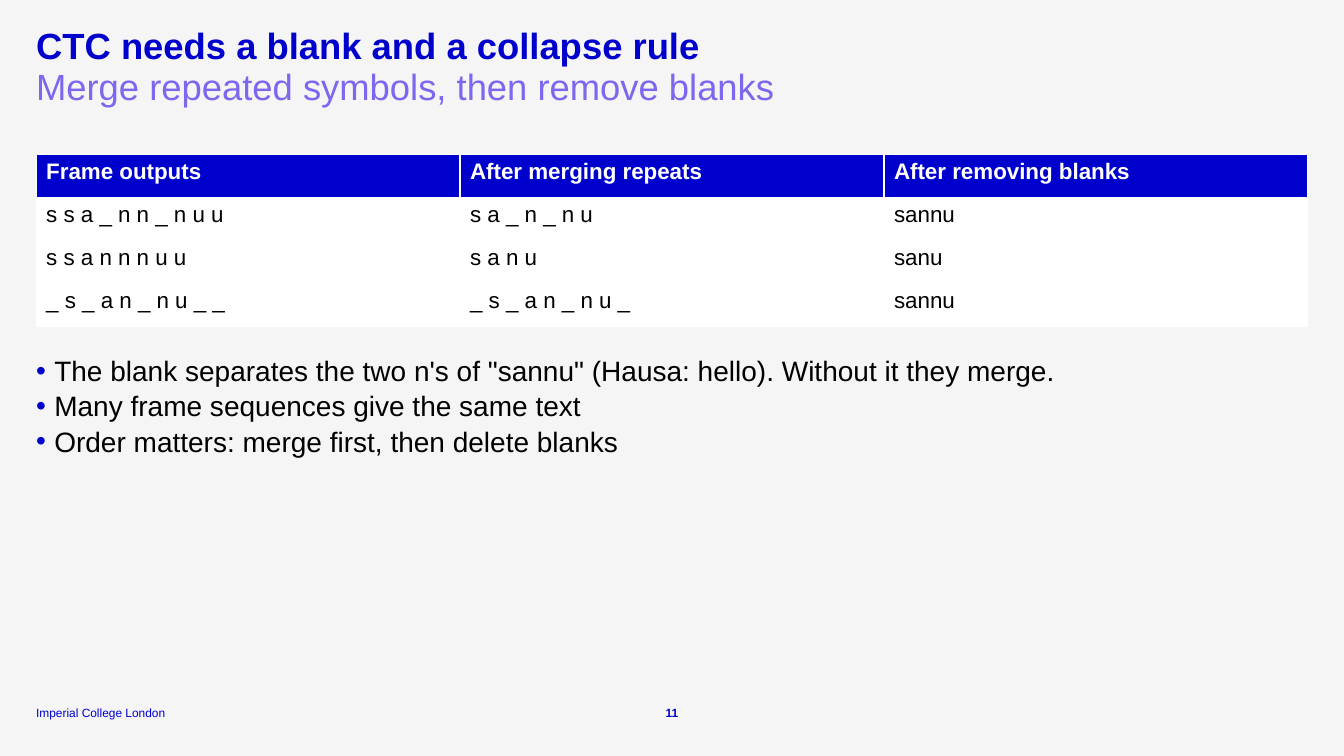
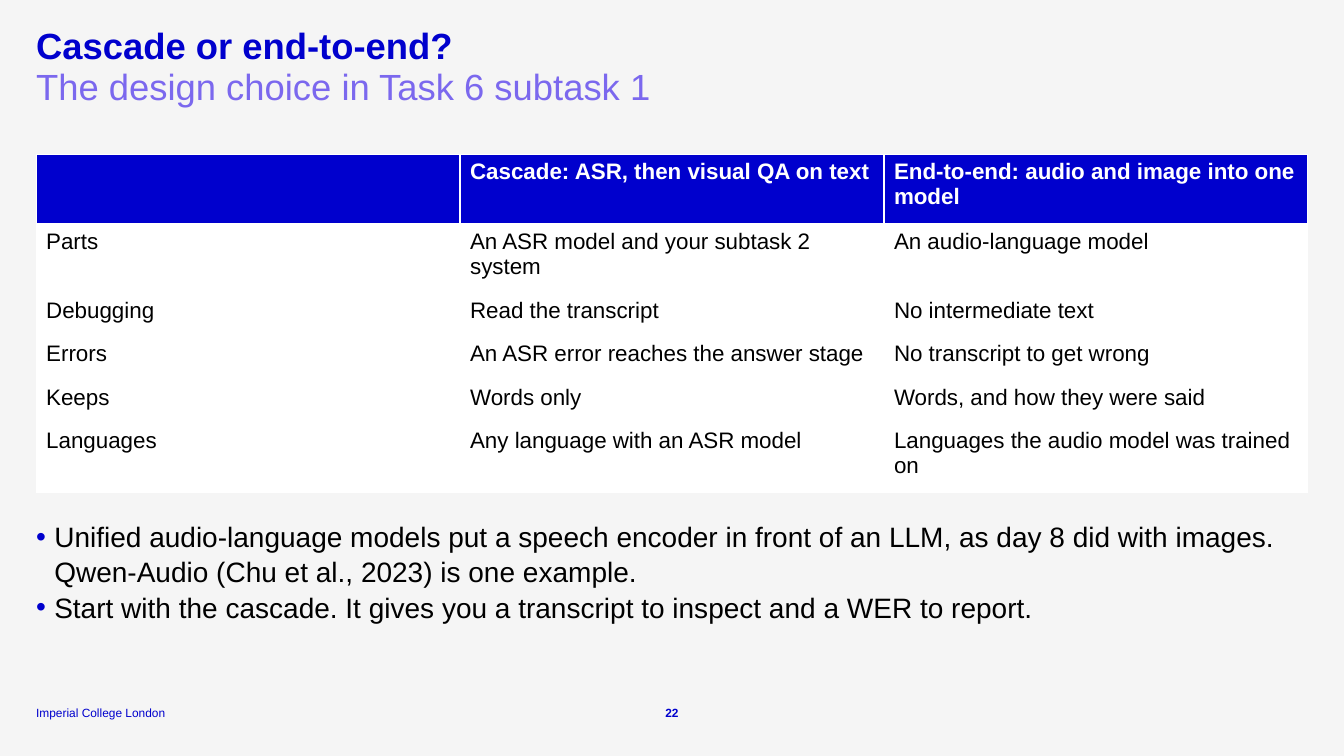
from lxml import etree
from pptx import Presentation
from pptx.dml.color import RGBColor
from pptx.enum import text
from pptx.oxml import ns
from pptx.util import Pt

BLUE = RGBColor(0x00, 0x00, 0xCD)
VIOLET = RGBColor(0x7B, 0x68, 0xEE)
BLACK = RGBColor(0x00, 0x00, 0x00)
WHITE = RGBColor(0xFF, 0xFF, 0xFF)
PAPER = RGBColor(0xF5, 0xF5, 0xF5)
FONT = "Arial"

SLIDE_W, SLIDE_H = 960, 540
MARGIN = 25.8
CONTENT_W = SLIDE_W - 2 * MARGIN
TITLE_TOP, TITLE_H = 20, 29.2
TABLE_TOP, ROW_H, LINE_H = 110.2, 30.8, 19
BODY_GAP = 18
BULLET_INDENT = 13
FOOTER_TOP, FOOTER_H = 503.2, 11
FOOTER_W, NUMBER_W = 112, 25
FOOTER = "Imperial College London"

# "two_line" lists the table rows whose text wraps to a second line.
SLIDES = [
    {
        "number": "11",
        "title": "CTC needs a blank and a collapse rule",
        "subtitle": "Merge repeated symbols, then remove blanks",
        "table": [
            ("Frame outputs", "After merging repeats", "After removing blanks"),
            ("s s a _ n n _ n u u", "s a _ n _ n u", "sannu"),
            ("s s a n n n u u", "s a n u", "sanu"),
            ("_ s _ a n _ n u _ _", "_ s _ a n _ n u _", "sannu"),
        ],
        "two_line": (),
        "bullets": [
            "The blank separates the two n's of \"sannu\" (Hausa: hello). Without it they merge.",
            "Many frame sequences give the same text",
            "Order matters: merge first, then delete blanks",
        ],
        "body_h": 107,
    },
    {
        "number": "22",
        "title": "Cascade or end-to-end?",
        "subtitle": "The design choice in Task 6 subtask 1",
        "table": [
            ("", "Cascade: ASR, then visual QA on text",
             "End-to-end: audio and image into one model"),
            ("Parts", "An ASR model and your subtask 2 system", "An audio-language model"),
            ("Debugging", "Read the transcript", "No intermediate text"),
            ("Errors", "An ASR error reaches the answer stage", "No transcript to get wrong"),
            ("Keeps", "Words only", "Words, and how they were said"),
            ("Languages", "Any language with an ASR model",
             "Languages the audio model was trained on"),
        ],
        "two_line": (0, 1, 5),
        "bullets": [
            "Unified audio-language models put a speech encoder in front of an LLM, "
            "as day 8 did with images. Qwen-Audio (Chu et al., 2023) is one example.",
            "Start with the cascade. It gives you a transcript to inspect and a WER to report.",
        ],
        "body_h": 97,
    },
]


def style(p, size, color, bold=False):
    for r in p.runs:
        r.font.name, r.font.size, r.font.bold = FONT, Pt(size), bold
        r.font.color.rgb = color


def place(sp, left, top, width, height, anchor=text.MSO_ANCHOR.TOP):
    """Position a text shape and clear its insets."""
    sp.left, sp.top, sp.width, sp.height = (Pt(v) for v in (left, top, width, height))
    tf = sp.text_frame
    tf.margin_left = tf.margin_top = tf.margin_right = tf.margin_bottom = 0
    tf.word_wrap = True
    tf.auto_size = text.MSO_AUTO_SIZE.NONE
    tf.vertical_anchor = anchor
    return tf


def add_text(slide, *box, **kw):
    return place(slide.shapes.add_textbox(0, 0, 0, 0), *box, **kw)


def add_heading(slide, title, subtitle):
    title_tf = place(slide.shapes.title, MARGIN, TITLE_TOP, CONTENT_W, TITLE_H)
    sub_tf = add_text(slide, MARGIN, TITLE_TOP + TITLE_H, CONTENT_W, TITLE_H)
    for tf, words, color, bold in ((title_tf, title, BLUE, True),
                                   (sub_tf, subtitle, VIOLET, False)):
        tf.text = words
        p = tf.paragraphs[0]
        p.alignment = text.PP_ALIGN.LEFT
        p.line_spacing = 0.9
        style(p, 26, color, bold)


def add_footer(slide, number):
    number_left = (SLIDE_W - NUMBER_W) / 2
    for words, left, width, align, bold in (
            (FOOTER, MARGIN, FOOTER_W, text.PP_ALIGN.LEFT, False),
            (number, number_left, NUMBER_W, text.PP_ALIGN.CENTER, True)):
        tf = add_text(slide, left, FOOTER_TOP, width, FOOTER_H,
                      anchor=text.MSO_ANCHOR.BOTTOM)
        tf.text = words
        tf.paragraphs[0].alignment = align
        style(tf.paragraphs[0], 8.5, BLUE, bold)


def add_table(slide, rows, two_line):
    """Add the table and return its bottom edge in points."""
    heights = [ROW_H + LINE_H * (i in two_line) for i in range(len(rows))]
    table = slide.shapes.add_table(
        len(rows), len(rows[0]), Pt(MARGIN), Pt(TABLE_TOP),
        Pt(CONTENT_W), Pt(sum(heights))).table
    table.horz_banding = False
    for i, (row, height) in enumerate(zip(rows, heights)):
        table.rows[i].height = Pt(height)
        header = i == 0
        for j, words in enumerate(row):
            cell = table.cell(i, j)
            cell.fill.solid()
            cell.fill.fore_color.rgb = BLUE if header else WHITE
            cell.text = words
            style(cell.text_frame.paragraphs[0], 16, WHITE if header else BLACK, header)
    return TABLE_TOP + sum(heights)


def add_bullet(p):
    pPr = p._p.get_or_add_pPr()
    pPr.set("marL", str(Pt(BULLET_INDENT)))
    pPr.set("indent", str(-Pt(BULLET_INDENT)))
    color = etree.SubElement(pPr, ns.qn("a:buClr"))
    etree.SubElement(color, ns.qn("a:srgbClr"), val=str(BLUE))
    etree.SubElement(pPr, ns.qn("a:buFont"), typeface=FONT)
    etree.SubElement(pPr, ns.qn("a:buChar"), char="•")


def add_bullets(slide, bullets, top, height):
    tf = add_text(slide, MARGIN, top, CONTENT_W, height)
    tf.text = "\n".join(bullets)
    for p in tf.paragraphs:
        add_bullet(p)
        p.line_spacing = 1.05
        style(p, 20, BLACK)


def main():
    prs = Presentation()
    prs.slide_width, prs.slide_height = Pt(SLIDE_W), Pt(SLIDE_H)
    fill = prs.slide_master.background.fill
    fill.solid()
    fill.fore_color.rgb = PAPER
    title_only = prs.slide_layouts[5]
    for content in SLIDES:
        slide = prs.slides.add_slide(title_only)
        add_heading(slide, content["title"], content["subtitle"])
        bottom = add_table(slide, content["table"], content["two_line"])
        add_bullets(slide, content["bullets"], bottom + BODY_GAP, content["body_h"])
        add_footer(slide, content["number"])
    prs.save("out.pptx")


if __name__ == "__main__":
    main()
